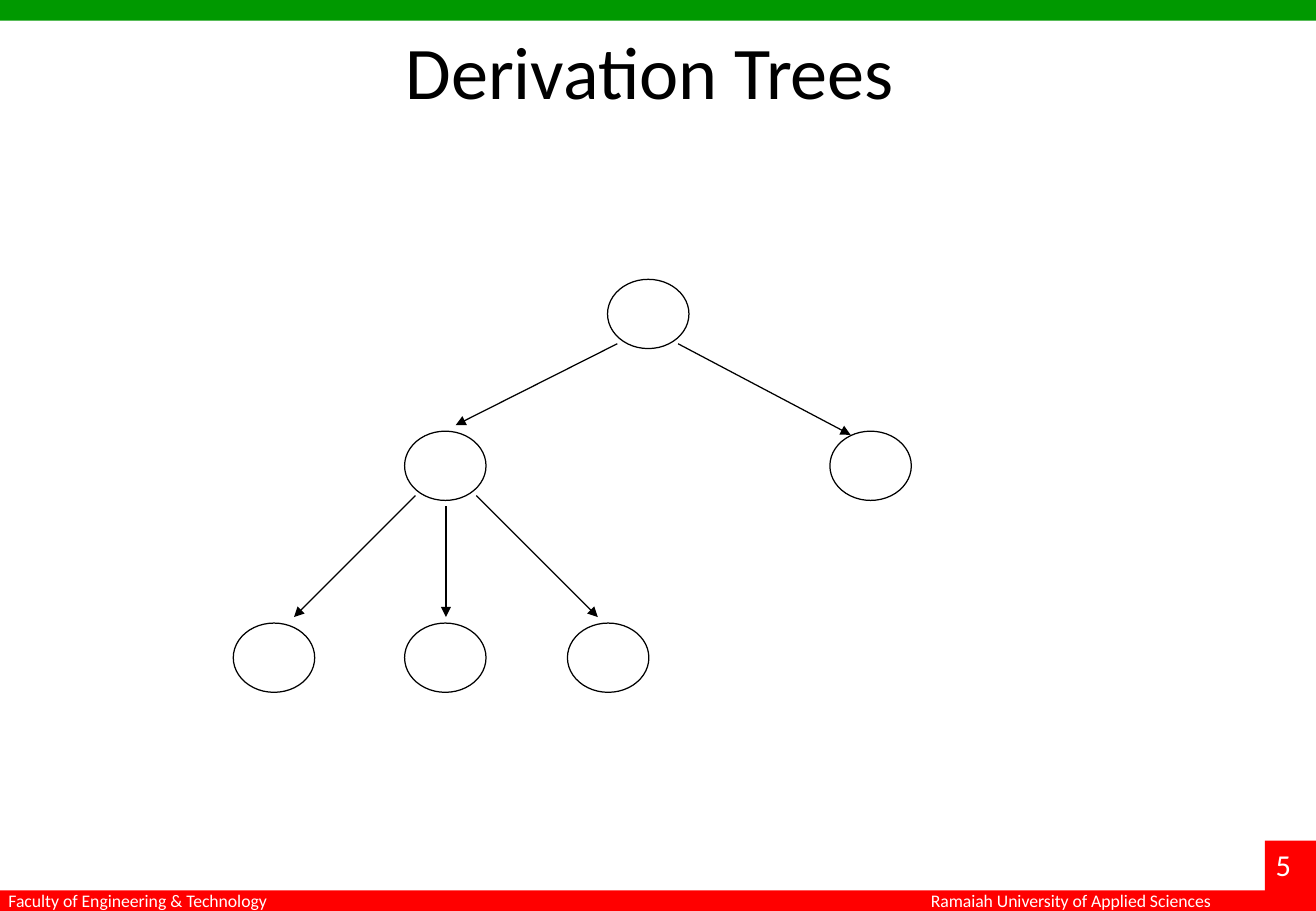
from dataclasses import dataclass

from lxml import etree
from pptx import Presentation
from pptx.dml.color import RGBColor
from pptx.enum.shapes import MSO_CONNECTOR, MSO_SHAPE
from pptx.enum.text import MSO_ANCHOR, PP_ALIGN
from pptx.oxml.ns import qn
from pptx.util import Inches, Pt

RECTANGLE = MSO_SHAPE.RECTANGLE
ELLIPSE = MSO_SHAPE.OVAL
STRAIGHT = MSO_CONNECTOR.STRAIGHT
LEFT = PP_ALIGN.LEFT
CENTER = PP_ALIGN.CENTER
TOP = MSO_ANCHOR.TOP
MIDDLE = MSO_ANCHOR.MIDDLE


@dataclass(frozen=True)
class Theme:
    font: str = "Calibri"
    ink: RGBColor = RGBColor(0, 0, 0)
    paper: RGBColor = RGBColor(255, 255, 255)
    red: RGBColor = RGBColor(255, 0, 0)
    green: RGBColor = RGBColor(0, 153, 0)
    title_size: float = 44
    number_size: float = 18
    footer_size: float = 10.5
    line_width: float = 0.75


@dataclass(frozen=True)
class Box:
    left: float
    top: float
    width: float
    height: float

    def inner(self, left, top, width, height):
        return Box(self.left + left, self.top + top, width, height)

    def lengths(self):
        return [Inches(value) for value in (self.left, self.top, self.width, self.height)]


THEME = Theme()
PAGE = Box(0, 0, 10.83, 7.5)
BAND_HEIGHT = 0.17
NODE_SIZE = (0.67, 0.57)
NODES = [(3.08, 0), (1.41, 1.25), (4.91, 1.25), (0, 2.83), (1.41, 2.83), (2.75, 2.83)]
ARROWS = [
    ((3.16, 0.53), (1.83, 1.2)),
    ((3.66, 0.53), (5.08, 1.28)),
    ((1.5, 1.78), (0.5, 2.78)),
    ((1.75, 1.87), (1.75, 2.78)),
    ((2, 1.78), (3, 2.78)),
]


def add_text(slide, box, text, *, size, color, align=LEFT, anchor=TOP, inset=0.1):
    shape = slide.shapes.add_textbox(*box.lengths())
    frame = shape.text_frame
    frame.word_wrap = True
    frame.vertical_anchor = anchor
    frame.margin_left = Inches(inset)
    frame.margin_right = Inches(inset)
    paragraph = frame.paragraphs[0]
    paragraph.alignment = align
    run = paragraph.add_run()
    run.text = text
    run.font.name = THEME.font
    run.font.size = Pt(size)
    run.font.color.rgb = color


def add_block(slide, box, color):
    shape = slide.shapes.add_shape(RECTANGLE, *box.lengths())
    shape.shadow.inherit = False
    shape.fill.solid()
    shape.fill.fore_color.rgb = color
    shape.line.fill.background()


def add_node(slide, box):
    shape = slide.shapes.add_shape(ELLIPSE, *box.lengths())
    shape.shadow.inherit = False
    shape.fill.background()
    shape.line.color.rgb = THEME.ink
    shape.line.width = Pt(THEME.line_width)


def add_arrow(slide, box, start, end):
    points = [
        Inches(value)
        for x, y in (start, end)
        for value in (box.left + x, box.top + y)
    ]
    connector = slide.shapes.add_connector(STRAIGHT, *points)
    connector.line.color.rgb = THEME.ink
    connector.line.width = Pt(THEME.line_width)
    line = connector.line._get_or_add_ln()
    etree.SubElement(line, qn("a:tailEnd"), type="triangle")
    etree.SubElement(connector._element.spPr, qn("a:effectLst"))


def add_header(slide, box):
    add_block(slide, box.inner(0, 0, box.width, BAND_HEIGHT), THEME.green)
    add_text(slide, box.inner(1.1, -0.05, 8.5, 1.25), "Derivation Trees",
             size=THEME.title_size, color=THEME.ink, align=CENTER, anchor=MIDDLE)


def add_footer(slide, box):
    band_top = box.height - BAND_HEIGHT
    add_block(slide, box.inner(0, band_top, box.width, BAND_HEIGHT), THEME.red)
    add_block(slide, box.inner(box.width - 0.42, 0, 0.42, box.height), THEME.red)
    labels = [
        (0, 2.5, "Faculty of Engineering & Technology"),
        (7.59, 2.8, "Ramaiah University of Applied Sciences"),
    ]
    for left, width, label in labels:
        add_text(slide, box.inner(left, band_top - 0.05, width, 0.22), label,
                 size=THEME.footer_size, color=THEME.paper, inset=0.07)
    add_text(slide, box.inner(10.4, 0, 0.43, 0.4), "5",
             size=THEME.number_size, color=THEME.paper)


def add_tree(slide, box):
    for left, top in NODES:
        add_node(slide, box.inner(left, top, *NODE_SIZE))
    for start, end in ARROWS:
        add_arrow(slide, box, start, end)


def main():
    presentation = Presentation()
    presentation.slide_width = Inches(PAGE.width)
    presentation.slide_height = Inches(PAGE.height)
    slide = presentation.slides.add_slide(presentation.slide_layouts[6])
    add_footer(slide, PAGE.inner(0, 6.92, PAGE.width, 0.58))
    add_tree(slide, PAGE.inner(1.92, 2.3, 5.58, 3.4))
    add_header(slide, PAGE.inner(0, 0, PAGE.width, 1.2))
    presentation.save("out.pptx")


if __name__ == "__main__":
    main()
